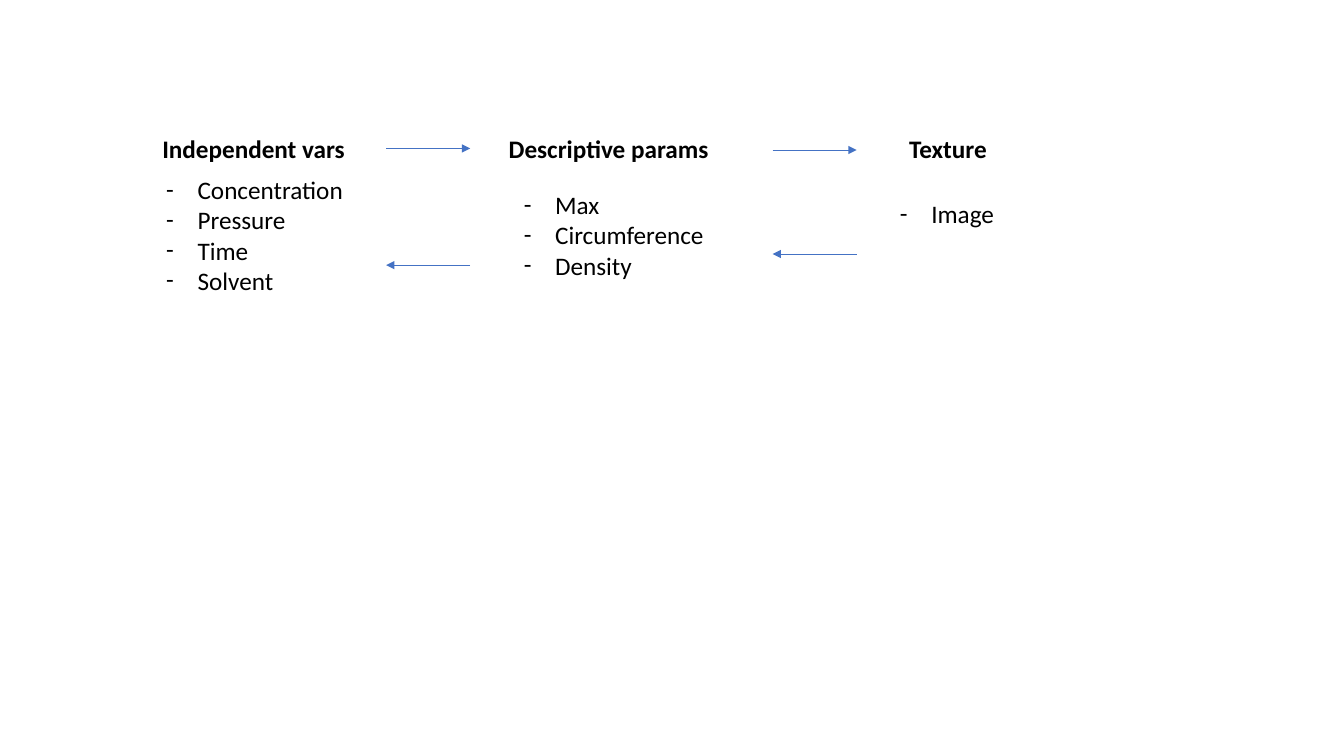
import pptx
import pptx.dml.color
import pptx.enum.shapes
import pptx.enum.text
import pptx.oxml.ns
import pptx.util
from lxml import etree

Cm = pptx.util.Cm
BLACK = pptx.dml.color.RGBColor(0x00, 0x00, 0x00)
BLUE = pptx.dml.color.RGBColor(0x44, 0x72, 0xC4)
FONT = {"name": "Calibri", "size": pptx.util.Pt(18)}
FRAME = {"word_wrap": False,
         "auto_size": pptx.enum.text.MSO_AUTO_SIZE.SHAPE_TO_FIT_TEXT}
HEADING_HEIGHT = 1.02
INDENT = Cm(0.79)

# Box (left, top, width), heading, list offset (x, y), list size, items
COLUMNS = [
    ((3.84, 3.23, 5.16), "Independent vars", (0.1, 1.04), (5.03, 3.33),
     ["Concentration", "Pressure", "Time", "Solvent"]),
    ((12.57, 3.23, 5.59), "Descriptive params", (0.38, 1.42), (5.11, 2.57),
     ["Max", "Circumference", "Density"]),
    ((22.66, 3.23, 2.49), "Texture", (-0.23, 1.65), (2.92, 1.8), ["Image"]),
]
# Gap box (left, top, width) and drop from forward to backward arrow
GAPS = [((9.73, 3.74, 2.12), 2.94), ((19.47, 3.78, 2.12), 2.62)]


def add_dash(p):
    """Give a paragraph a hanging dash bullet."""
    pPr = p._p.get_or_add_pPr()
    pPr.set("marL", str(INDENT))
    pPr.set("indent", str(-INDENT))
    for tag, key, value in (("a:buFont", "typeface", "Calibri"),
                            ("a:buChar", "char", "-")):
        etree.SubElement(pPr, pptx.oxml.ns.qn(tag)).set(key, value)


def add_text(slide, box, lines, bold=False, dashes=False):
    """Place a text box with one paragraph per line."""
    sp = slide.shapes.add_textbox(*map(Cm, box))
    tf = sp.text_frame
    for name, value in FRAME.items():
        setattr(tf, name, value)
    for i, line in enumerate(lines):
        p = tf.add_paragraph() if i else tf.paragraphs[0]
        if dashes:
            add_dash(p)
        r = p.add_run()
        r.text = line
        for name, value in FONT.items():
            setattr(r.font, name, value)
        r.font.bold = bold
        r.font.color.rgb = BLACK


def add_column(slide, box, heading, offset, size, items):
    """Place a bold heading and, below it, its dashed list."""
    left, top, width = box
    add_text(slide, (left, top, width, HEADING_HEIGHT), [heading], bold=True)
    add_text(slide, (left + offset[0], top + offset[1], *size), items,
             dashes=True)


def add_arrow(slide, x1, x2, y):
    """Draw a thin horizontal arrow from x1 to x2."""
    sp = slide.shapes.add_connector(
        pptx.enum.shapes.MSO_CONNECTOR.STRAIGHT, Cm(x1), Cm(y), Cm(x2), Cm(y))
    sp.line.color.rgb = BLUE
    sp.line.width = pptx.util.Pt(0.5)
    ln = sp.line._get_or_add_ln()
    etree.SubElement(ln, pptx.oxml.ns.qn("a:tailEnd")).set("type", "triangle")
    etree.SubElement(sp._element.spPr, pptx.oxml.ns.qn("a:effectLst"))


def add_arrow_pair(slide, box, drop):
    """Draw a forward arrow and a backward arrow below it."""
    left, top, width = box
    add_arrow(slide, left, left + width, top)
    add_arrow(slide, left + width, left, top + drop)


def main():
    """Build the slide and save it."""
    prs = pptx.Presentation()
    prs.slide_width, prs.slide_height = Cm(33.87), Cm(19.05)
    slide = prs.slides.add_slide(prs.slide_layouts.get_by_name("Blank"))
    for column in COLUMNS:
        add_column(slide, *column)
    for gap in GAPS:
        add_arrow_pair(slide, *gap)
    prs.save("out.pptx")


main()
